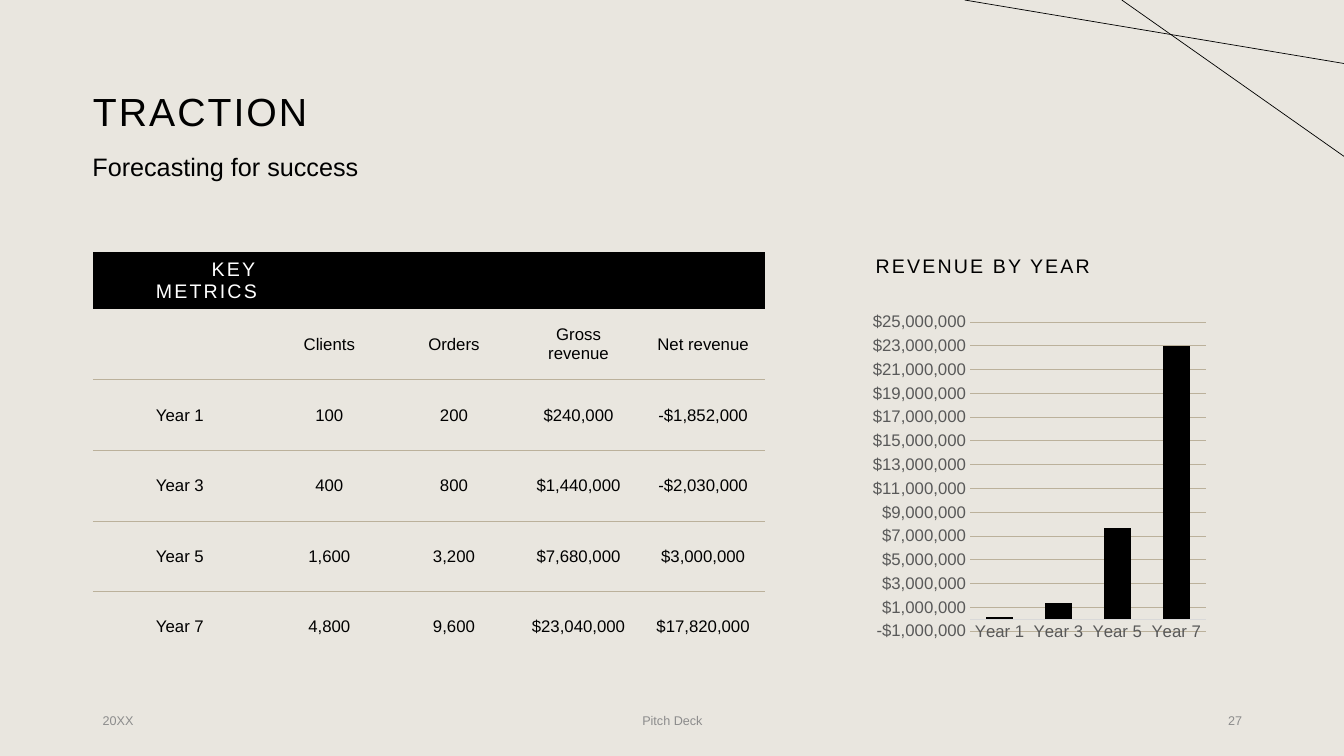
from pptx import Presentation
from pptx import util as u
from pptx.chart import data as chart_data
from pptx.dml.color import RGBColor
from pptx.enum import chart as chart_enum, shapes, text
from pptx.oxml import parse_xml
from pptx.oxml.ns import nsdecls, qn
from lxml import etree

PAPER = RGBColor(0xE9, 0xE6, 0xDF)
BLACK = RGBColor(0, 0, 0)
WHITE = RGBColor(0xFF, 0xFF, 0xFF)
SAND = RGBColor(0xBB, 0xB1, 0x9B)
AXIS_TEXT = RGBColor(0x59, 0x59, 0x59)
AXIS_LINE = RGBColor(0xD9, 0xD9, 0xD9)
FOOTER = RGBColor(0x8C, 0x8C, 0x8C)
FONT = "Arial"
LEFT, CENTER, RIGHT = text.PP_ALIGN.LEFT, text.PP_ALIGN.CENTER, text.PP_ALIGN.RIGHT
TOP, MIDDLE = text.MSO_ANCHOR.TOP, text.MSO_ANCHOR.MIDDLE
NO_STYLE_NO_GRID = "{2D5ABB26-0587-4C30-8999-92F81FD0307C}"


def write(para, words, size, color, align=LEFT, spacing=0):
    para.alignment = align
    span = para.add_run()
    span.text = words
    span.font.name = FONT
    span.font.size = u.Pt(size)
    span.font.color.rgb = color
    if spacing:
        span.font._element.set("spc", str(int(spacing * 100)))


def add_text(place, words, size, color, align=LEFT, anchor=TOP, spacing=0):
    box = page.shapes.add_textbox(*[u.Cm(length) for length in place])
    box.text_frame.word_wrap = True
    box.text_frame.vertical_anchor = anchor
    write(box.text_frame.paragraphs[0], words, size, color, align, spacing)
    return box


deck = Presentation()
deck.slide_width, deck.slide_height = u.Cm(33.87), u.Cm(19.05)
page = deck.slides.add_slide(deck.slide_layouts[6])
page.background.fill.solid()
page.background.fill.fore_color.rgb = PAPER

# Headings
title = add_text((2.34, 1.02, 29.21, 3.68), "TRACTION", 28, BLACK, anchor=MIDDLE, spacing=1.5)
title.text_frame.margin_left = 0
subtitle = add_text((2.08, 3.78, 18.8, 1.37), "Forecasting for success", 18, BLACK)
chart_title = add_text((21.82, 6.35, 8.74, 0.86), "REVENUE BY YEAR", 14, BLACK, spacing=1.5)
for heading in (title, subtitle, chart_title):
    heading.text_frame.paragraphs[0].line_spacing = 0.9

# Key metrics table
metrics = [
    ["KEY METRICS", "", "", "", ""],
    ["", "Clients", "Orders", "Gross revenue", "Net revenue"],
    ["Year 1", "100", "200", "$240,000", "-$1,852,000"],
    ["Year 3", "400", "800", "$1,440,000", "-$2,030,000"],
    ["Year 5", "1,600", "3,200", "$7,680,000", "$3,000,000"],
    ["Year 7", "4,800", "9,600", "$23,040,000", "$17,820,000"],
]
frame = page.shapes.add_table(6, 5, u.Cm(2.34), u.Cm(6.35), u.Cm(16.95), u.Cm(9.76))
table = frame.table
table.first_row = table.horz_banding = False
next(frame._element.iter(qn("a:tableStyleId"))).text = NO_STYLE_NO_GRID
for index, column in enumerate(table.columns):
    column.width = u.Cm(3.14 if index else 4.39)
for index, row in enumerate(table.rows):
    row.height = u.Cm(1.78 if index else 0.86)

for row, entries in enumerate(metrics):
    for column, entry in enumerate(entries):
        cell = table.cell(row, column)
        cell.vertical_anchor = MIDDLE
        if row == 0:
            cell.fill.solid()
            cell.fill.fore_color.rgb = BLACK
        else:
            cell.fill.background()
        if entry and row == 0:
            cell.margin_left = u.Cm(0.5)
            write(cell.text_frame.paragraphs[0], entry, 14, WHITE, RIGHT, 1.5)
        elif entry:
            write(cell.text_frame.paragraphs[0], entry, 12, BLACK, CENTER)
        # Rule under every row between the header and the last one
        if 0 < row < len(metrics) - 1:
            cell._tc.get_or_add_tcPr().insert(0, parse_xml(
                f'<a:lnB {nsdecls("a")} w="12700"><a:solidFill>'
                f'<a:srgbClr val="{SAND}"/></a:solidFill></a:lnB>'))

# Revenue chart
revenue = chart_data.CategoryChartData()
revenue.categories = ["Year 1", "Year 3", "Year 5", "Year 7"]
revenue.add_series("Series 1", (200000, 1400000, 7700000, 23000000))
chart = page.shapes.add_chart(
    chart_enum.XL_CHART_TYPE.COLUMN_CLUSTERED,
    u.Cm(21.82), u.Cm(7.72), u.Cm(8.74), u.Cm(8.61), revenue).chart
chart.has_legend = chart.has_title = False
chart.font.name, chart.font.size = FONT, u.Pt(10)
chart.font.color.rgb = BLACK
plot = chart.plots[0]
plot.vary_by_categories = False
plot.gap_width, plot.overlap = 118, -3
plot.series[0].format.fill.solid()
plot.series[0].format.fill.fore_color.rgb = BLACK
plot.series[0].invert_if_negative = False

years, amounts = chart.category_axis, chart.value_axis
for axis in (years, amounts):
    axis.major_tick_mark = axis.minor_tick_mark = chart_enum.XL_TICK_MARK.NONE
    axis.tick_labels.font.name = FONT
    axis.tick_labels.font.size = u.Pt(12)
    axis.tick_labels.font.color.rgb = AXIS_TEXT
years.format.line.color.rgb = AXIS_LINE
years.format.line.width = u.Pt(0.75)
amounts.format.line.fill.background()
amounts.minimum_scale, amounts.maximum_scale = -1000000, 25000000
amounts.major_unit = 2000000
amounts.major_gridlines.format.line.color.rgb = SAND
amounts.major_gridlines.format.line.width = u.Pt(0.75)
amounts.tick_labels.number_format = "[$$-409]#,##0"
amounts.tick_labels.number_format_is_linked = False

# Footer
for left, width, words, align in [
    (2.34, 7.62, "20XX", LEFT),
    (11.23, 11.43, "Pitch Deck", CENTER),
    (23.93, 7.62, "27", RIGHT),
]:
    add_text((left, 17.65, width, 1.02), words, 9, FOOTER, align, MIDDLE)

# Crossing lines in the top right corner
for start, drop in [(28.27, 3.94), (24.31, 1.6)]:
    line = page.shapes.add_connector(
        shapes.MSO_CONNECTOR.STRAIGHT, u.Cm(start), 0, deck.slide_width, u.Cm(drop))
    line.line.color.rgb = BLACK
    line.line.width = u.Pt(0.5)
    etree.SubElement(line._element.spPr, qn("a:effectLst"))

deck.save("out.pptx")
